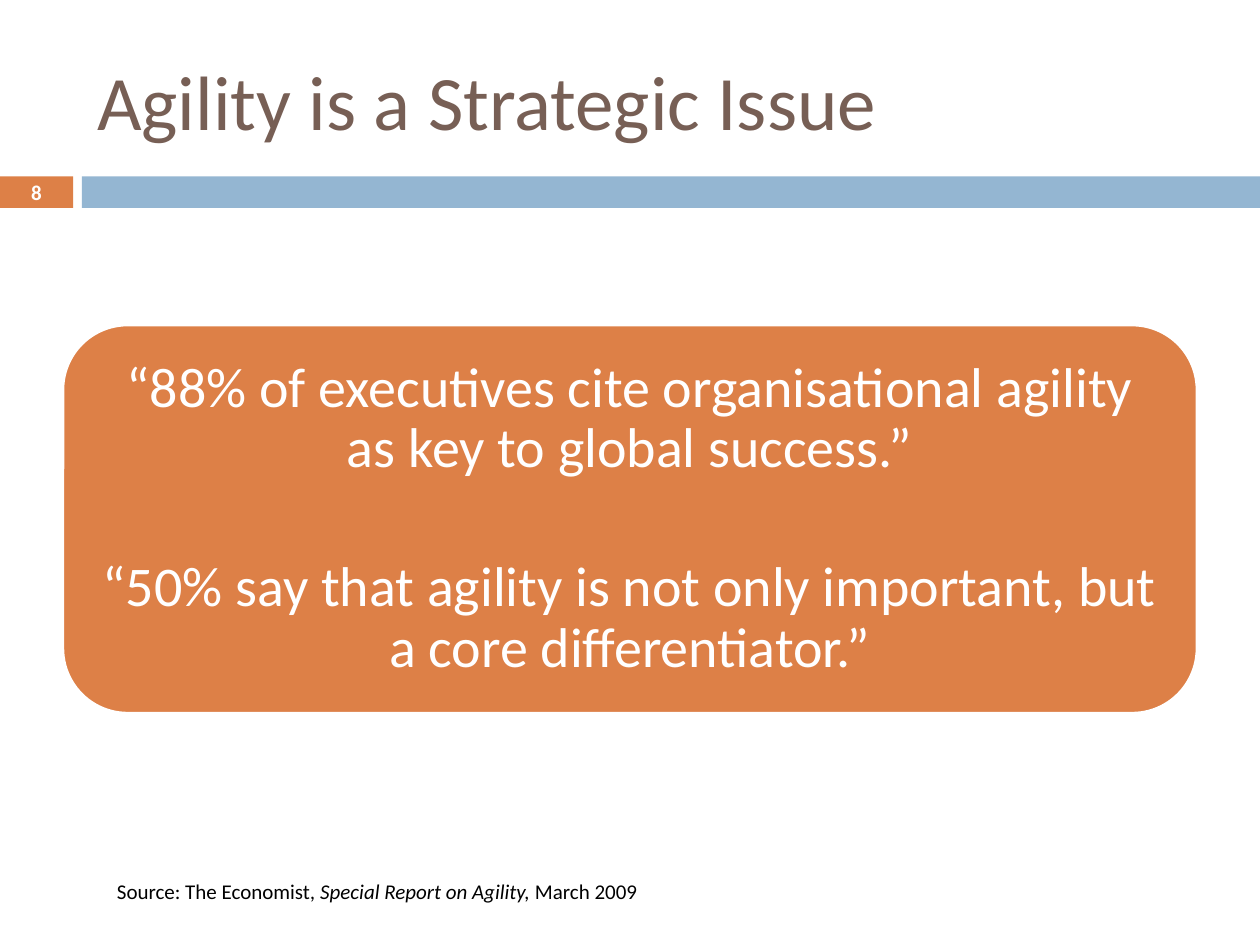
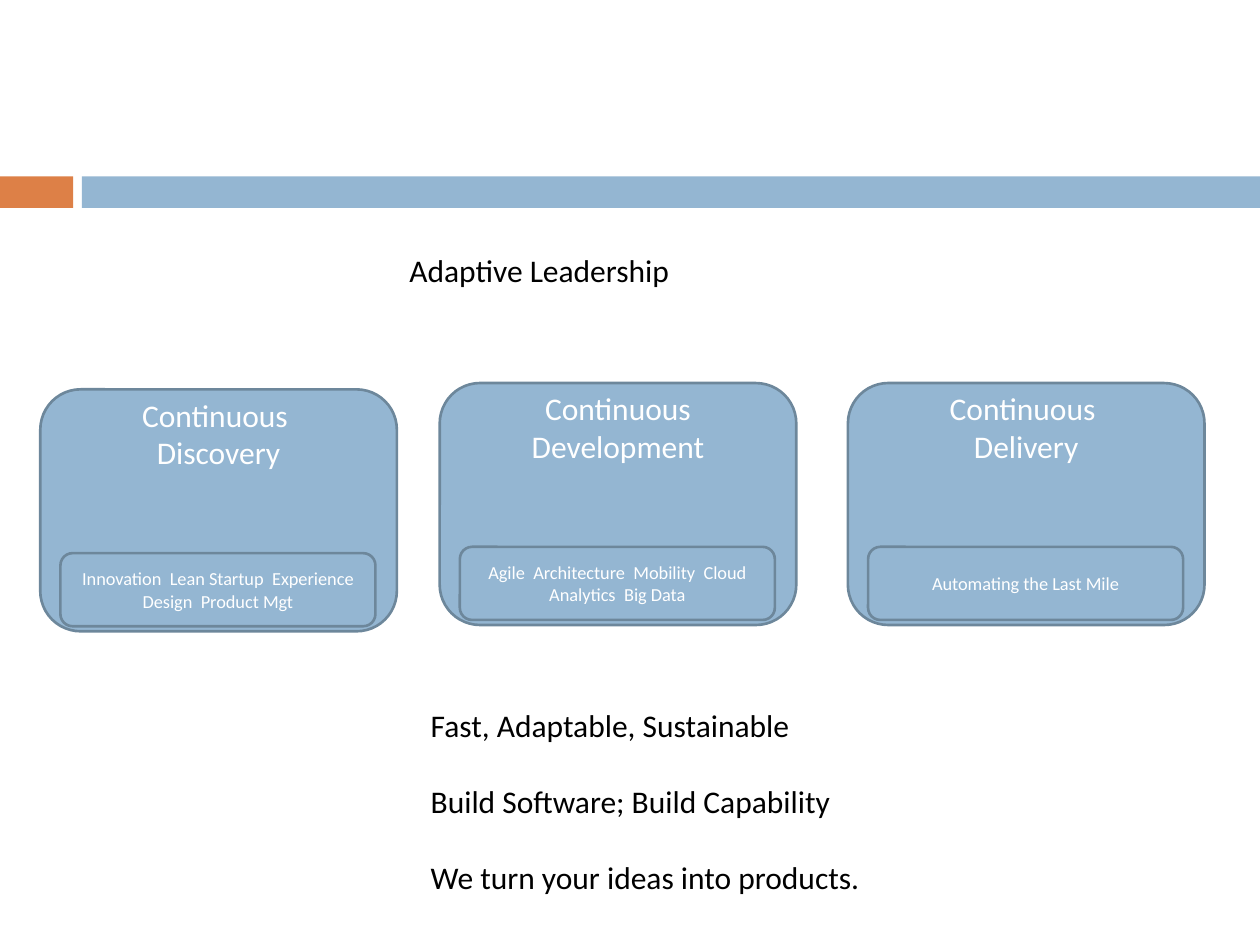
from pptx import Presentation
from pptx.dml.color import RGBColor
from pptx.enum.shapes import MSO_SHAPE as Shape
from pptx.enum.text import MSO_ANCHOR as Anchor, PP_ALIGN as Align
from pptx.util import Inches, Pt

COLOURS = {
    "orange": "DD8047",
    "blue": "94B6D2",
    "edge": "6D879B",
    "brown": "775F55",
    "white": "FFFFFF",
    "black": "000000",
}
FONT = "Calibri"

deck = Presentation()
deck.slide_width, deck.slide_height = Inches(10), Inches(7.5)

# Grid of 100 columns and 75 rows
COLUMN = deck.slide_width / 100
ROW = deck.slide_height / 75


def add_box(page, kind, left, top, width, height, fill=None, edge=None):
    """Add a preset shape, or a text box when kind is None, on the grid."""
    area = [round(n * unit) for n, unit in
            zip((left, top, width, height), (COLUMN, ROW, COLUMN, ROW))]
    if kind is None:
        box = page.shapes.add_textbox(*area)
        box.text_frame.word_wrap = True
        return box
    box = page.shapes.add_shape(kind, *area)
    box.shadow.inherit = False
    box.fill.solid()
    box.fill.fore_color.rgb = RGBColor.from_string(COLOURS[fill])
    if edge:
        box.line.color.rgb = RGBColor.from_string(COLOURS[edge])
        box.line.width = Pt(1.5)
    else:
        box.line.fill.background()
    return box


def format_text(box, size, colour, align=Align.LEFT):
    """Format every run of a box alike."""
    for para in box.text_frame.paragraphs:
        para.alignment = align
        for span in para.runs:
            span.font.name = FONT
            span.font.size = Pt(size)
            span.font.color.rgb = RGBColor.from_string(COLOURS[colour])


layout = deck.slide_layouts.get_by_name("Title Only")
quote_page = deck.slides.add_slide(layout)
pillar_page = deck.slides.add_slide(layout)

# Shared bands, moved into the layout
for left, width, fill in ((0, 5.8, "orange"), (6.5, 93.5, "blue")):
    band = add_box(quote_page, Shape.RECTANGLE, left, 14, width, 2.5, fill)
    layout.shapes._spTree.append(band._element)

# Slide 1: title
title = quote_page.shapes.title
title.left, title.top = round(6.7 * COLUMN), round(2.5 * ROW)
title.width, title.height = round(89.2 * COLUMN), round(10.8 * ROW)
title.text_frame.text = "Agility is a Strategic Issue"
title.text_frame.vertical_anchor = Anchor.MIDDLE
format_text(title, 44, "brown")

# Slide 1: quotes
quotes = add_box(quote_page, Shape.ROUNDED_RECTANGLE, 5, 25.8, 90, 30.8,
                 "orange", "white")
frame = quotes.text_frame
frame.text = ("“88% of executives cite organisational agility as key to global success.”\n"
              "“50% say that agility is not only important, but a core differentiator.”")
frame.vertical_anchor = Anchor.MIDDLE
frame.margin_left = frame.margin_right = Inches(0.13)
frame.margin_top = frame.margin_bottom = Inches(0.13)
format_text(quotes, 32, "white", Align.CENTER)
for para in frame.paragraphs:
    para.line_spacing = 0.9
frame.paragraphs[1].space_before = Pt(45)

# Slide 1: page number
number = add_box(quote_page, None, 0, 13.9, 5.8, 2.7)
number.text_frame.text = "8"
number.text_frame.vertical_anchor = Anchor.MIDDLE
format_text(number, 12, "white", Align.CENTER)
number.text_frame.paragraphs[0].runs[0].font.bold = True

# Slide 1: source line
source = add_box(quote_page, None, 8.3, 69.2, 82, 3)
para = source.text_frame.paragraphs[0]
for words, italic in (("Source: The Economist", False),
                      (", Special Report on Agility,", True),
                      (" March 2009", False)):
    span = para.add_run()
    span.text = words
    span.font.italic = italic
format_text(source, 12, "black")

# Slide 2 has no title
unused = pillar_page.shapes.title._element
unused.getparent().remove(unused)

# Slide 2: three pillars, each with its topics
pillars = (
    (3.2, 30.9, "Continuous \nDiscovery",
     ("Innovation", "Lean Startup", "Experience Design", "Product Mgt")),
    (34.9, 30.4, "Continuous Development",
     ("Agile", "Architecture", "Mobility", "Cloud", "Analytics", "Big Data")),
    (67.3, 30.4, "Continuous \vDelivery", ("Automating the Last Mile",)),
)
for left, top, heading, topics in pillars:
    card = add_box(pillar_page, Shape.ROUNDED_RECTANGLE, left, top, 28.3, 19.2,
                   "blue", "edge")
    card.text_frame.text = heading
    card.text_frame.vertical_anchor = Anchor.MIDDLE
    card.text_frame.margin_top = 0
    card.text_frame.margin_bottom = Inches(1.22)
    format_text(card, 18, "white", Align.CENTER)

    panel = add_box(pillar_page, Shape.ROUNDED_RECTANGLE, left + 1.6, top + 13,
                    25, 5.8, "blue", "edge")
    panel.text_frame.vertical_anchor = Anchor.MIDDLE
    para = panel.text_frame.paragraphs[0]
    for index, topic in enumerate(topics):
        if index:
            gap = para.add_run()
            gap.text = " "
            gap.font._element.set("spc", "240")  # widened space between topics
        para.add_run().text = topic
    format_text(panel, 10.5, "white", Align.CENTER)

# Slide 2: promises below the pillars
promises = add_box(pillar_page, None, 33.2, 55.5, 39, 16.2)
promises.text_frame.word_wrap = False
promises.text_frame.text = ("Fast, Adaptable, Sustainable\n"
                            "Build Software; Build Capability\n"
                            "We turn your ideas into products.")
format_text(promises, 18, "black")
for para in promises.text_frame.paragraphs[1:]:
    para.space_before = Pt(22)

# Slide 2: heading above the pillars
leadership = add_box(pillar_page, None, 31.5, 19.4, 25.9, 4)
leadership.text_frame.text = "Adaptive Leadership"
format_text(leadership, 18, "black")

deck.save("out.pptx")
